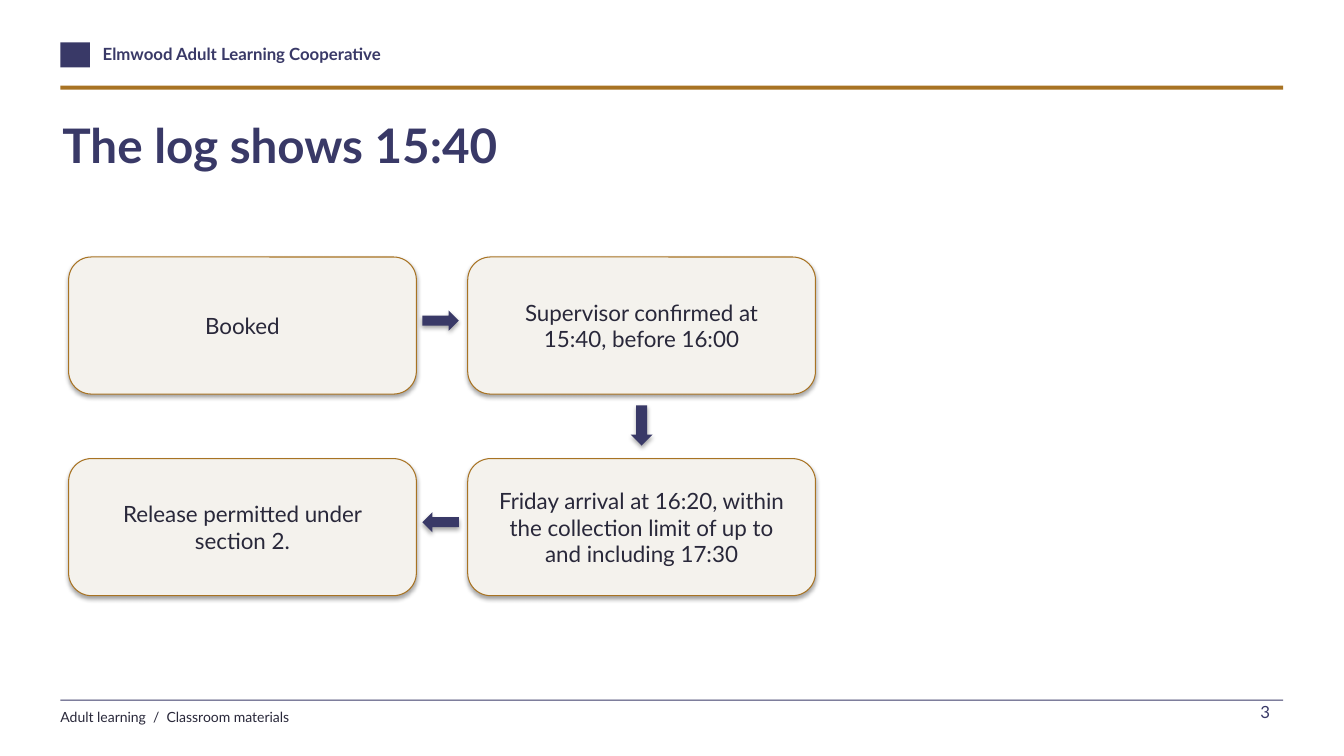
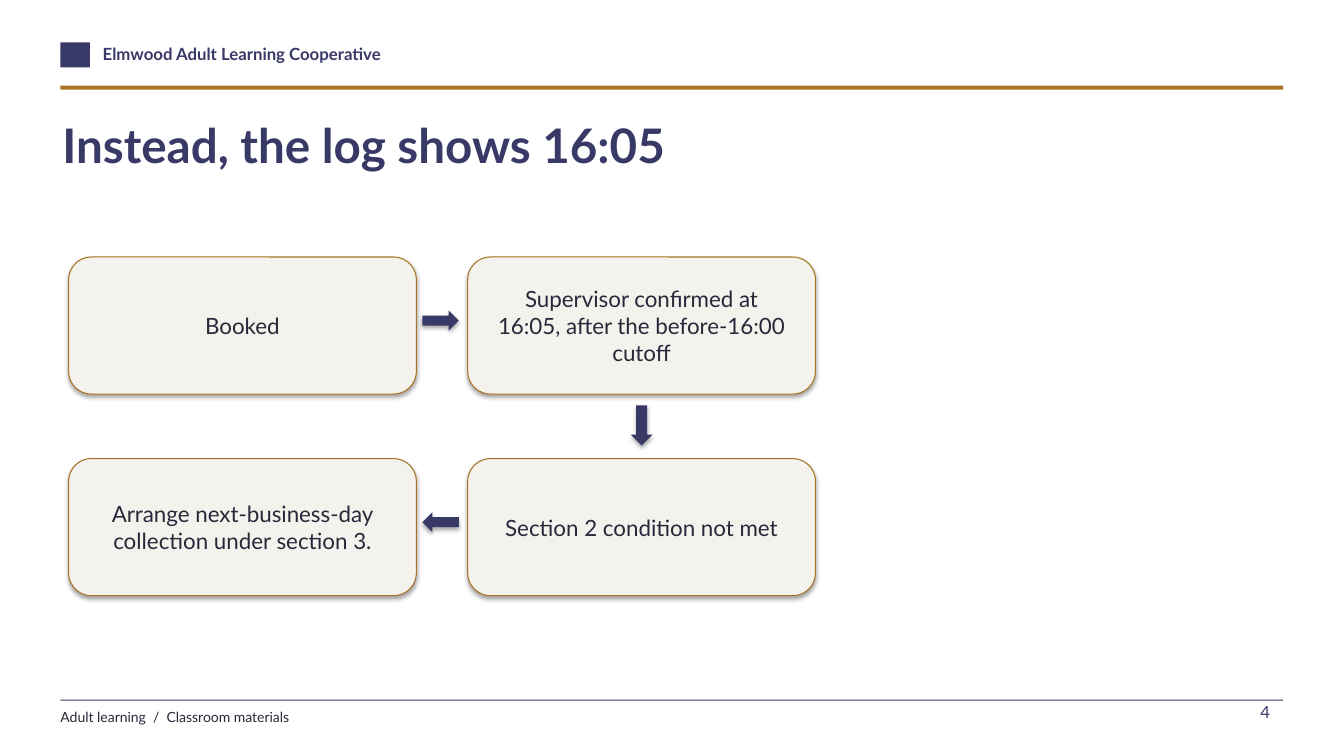
from pptx import Presentation
from pptx.dml.color import RGBColor
from pptx.enum.shapes import MSO_SHAPE
from pptx.enum.text import MSO_ANCHOR, MSO_AUTO_SIZE, PP_ALIGN
from pptx.util import Pt

NAVY, OCHRE, CREAM, INK = "393967", "A87323", "F4F2ED", "29283A"
MARGIN, RULE_WIDTH = 43.2, 873.4
CARD_LEFT, CARD_TOP, CARD_WIDTH, CARD_HEIGHT = 49, 183.6, 248.4, 97.9
COLUMN_STEP, ROW_STEP = 285.1, 144
CELLS = [(0, 0), (1, 0), (1, 1), (0, 1)]


def color(value):
    return RGBColor.from_string(value)


def write(frame, text, size=12, ink=INK, bold=False, align=PP_ALIGN.LEFT,
          anchor=MSO_ANCHOR.TOP, inset=(0, 0), wrap=True,
          fit=MSO_AUTO_SIZE.NONE, after=0):
    frame.word_wrap = wrap
    frame.auto_size = fit
    frame.vertical_anchor = anchor
    frame.margin_left = frame.margin_right = Pt(inset[0])
    frame.margin_top = frame.margin_bottom = Pt(inset[1])
    para = frame.paragraphs[0]
    para.alignment = align
    para.space_after = Pt(after)
    span = para.add_run()
    span.text = text
    span.font.name = "Lato"
    span.font.size = Pt(size)
    span.font.bold = bold
    span.font.color.rgb = color(ink)


class Deck:
    def __init__(self):
        self.deck = Presentation()
        self.deck.slide_width, self.deck.slide_height = Pt(960), Pt(540)
        self.page = None

    def add_page(self, title, number):
        self.page = self.deck.slides.add_slide(self.deck.slide_layouts[5])
        self.bar(MARGIN, 30.2, 21.1, 18)
        self.label(73.4, 31, 432, 20.2, "Elmwood Adult Learning Cooperative",
                   ink=NAVY, bold=True, after=4)
        self.bar(MARGIN, 61.2, RULE_WIDTH, 2.9, OCHRE)
        self.bar(MARGIN, 499.7, RULE_WIDTH, 0.7)
        self.label(MARGIN, 506.2, 504, 16.6,
                   "Adult learning  /  Classroom materials", size=10, after=4)
        self.title(title)
        self.label(867.6, 501.1, 46.8, 21.6, str(number), ink=NAVY,
                   align=PP_ALIGN.RIGHT, inset=(7.2, 0), wrap=False)

    def title(self, text):
        box = self.page.shapes.title
        box.left, box.top, box.width, box.height = (
            Pt(44.6), Pt(82.8), Pt(864), Pt(75.6))
        write(box.text_frame, text, size=34, ink=NAVY, bold=True)

    def label(self, left, top, width, height, text, **style):
        box = self.page.shapes.add_textbox(
            Pt(left), Pt(top), Pt(width), Pt(height))
        write(box.text_frame, text, fit=MSO_AUTO_SIZE.SHAPE_TO_FIT_TEXT, **style)

    def shape(self, kind, left, top, width, height, fill):
        box = self.page.shapes.add_shape(
            kind, Pt(left), Pt(top), Pt(width), Pt(height))
        box.fill.solid()
        box.fill.fore_color.rgb = color(fill)
        box.line.fill.background()
        return box

    def bar(self, left, top, width, height, fill=NAVY):
        box = self.shape(MSO_SHAPE.RECTANGLE, left, top, width, height, fill)
        box.shadow.inherit = False

    def card(self, column, row, text):
        box = self.shape(MSO_SHAPE.ROUNDED_RECTANGLE,
                         CARD_LEFT + column * COLUMN_STEP,
                         CARD_TOP + row * ROW_STEP,
                         CARD_WIDTH, CARD_HEIGHT, CREAM)
        box.line.color.rgb = color(OCHRE)
        box.line.width = Pt(0.75)
        write(box.text_frame, text, size=16, align=PP_ALIGN.CENTER,
              anchor=MSO_ANCHOR.MIDDLE, inset=(13, 3.6))

    def flow(self, steps):
        for (column, row), text in zip(CELLS, steps):
            self.card(column, row, text)
        across = CARD_LEFT + CARD_WIDTH + 4.3
        middle = CARD_TOP + 38.2
        self.shape(MSO_SHAPE.RIGHT_ARROW, across, middle, 26, 14.4, NAVY)
        self.shape(MSO_SHAPE.DOWN_ARROW,
                   CARD_LEFT + COLUMN_STEP + (CARD_WIDTH - 15.8) / 2,
                   CARD_TOP + CARD_HEIGHT + 8, 15.8, 28.8, NAVY)
        self.shape(MSO_SHAPE.LEFT_ARROW, across, middle + ROW_STEP,
                   26, 14.4, NAVY)


def main():
    deck = Deck()
    deck.add_page("The log shows 15:40", 3)
    deck.flow([
        "Booked",
        "Supervisor confirmed at 15:40, before 16:00",
        "Friday arrival at 16:20, within the collection limit of up to "
        "and including 17:30",
        "Release permitted under section 2.",
    ])
    deck.add_page("Instead, the log shows 16:05", 4)
    deck.flow([
        "Booked",
        "Supervisor confirmed at 16:05, after the before-16:00 cutoff",
        "Section 2 condition not met",
        "Arrange next-business-day collection under section 3.",
    ])
    deck.deck.save("out.pptx")


if __name__ == "__main__":
    main()
